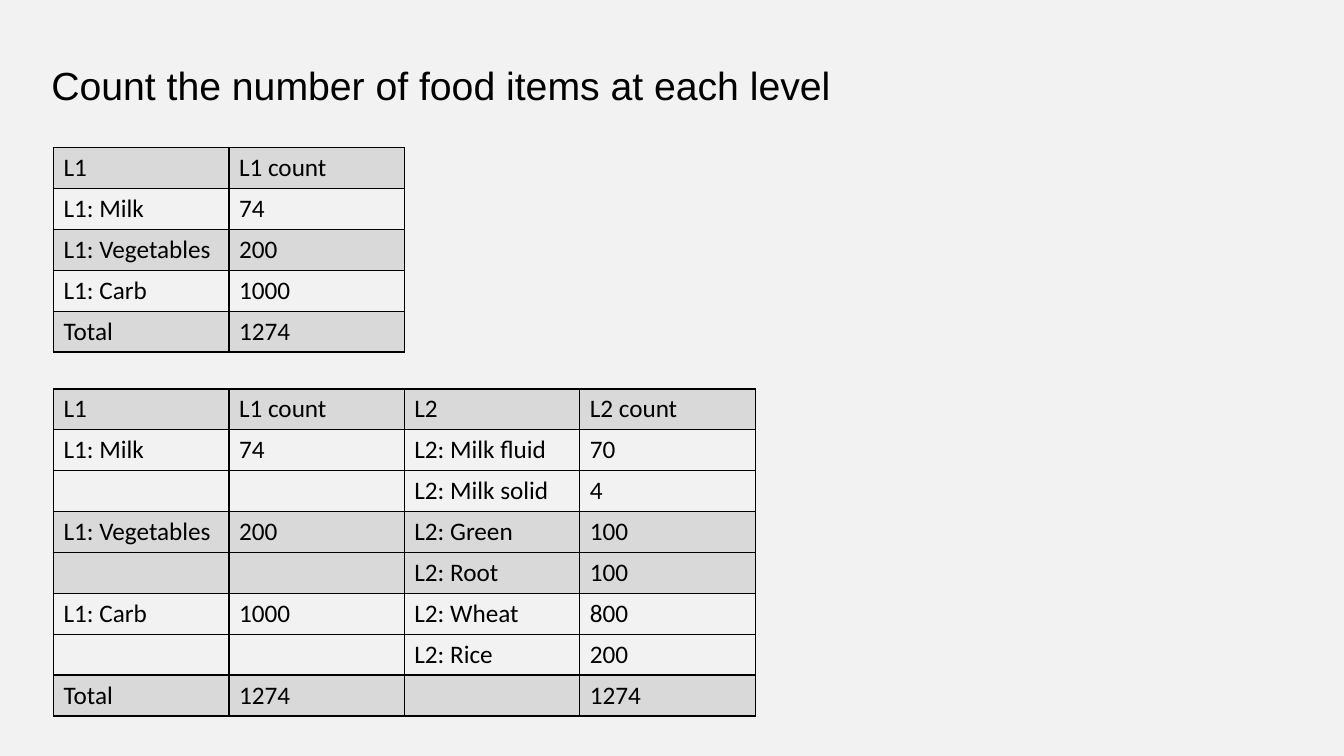
from lxml import etree
from pptx import Presentation
from pptx.dml.color import RGBColor
from pptx.enum.text import MSO_ANCHOR, PP_ALIGN
from pptx.oxml.ns import qn
from pptx.util import Cm, Pt

MIDDLE = MSO_ANCHOR.MIDDLE
LEFT = PP_ALIGN.LEFT

BLACK = RGBColor(0x00, 0x00, 0x00)
LIGHT = RGBColor(0xF2, 0xF2, 0xF2)
GREY = RGBColor(0xD9, 0xD9, 0xD9)

L1_ROWS = [
    ("L1", "L1 count"),
    ("L1: Milk", "74"),
    ("L1: Vegetables", "200"),
    ("L1: Carb", "1000"),
    ("Total", "1274"),
]
L2_ROWS = [
    ("L1", "L1 count", "L2", "L2 count"),
    ("L1: Milk", "74", "L2: Milk fluid", "70"),
    ("", "", "L2: Milk solid", "4"),
    ("L1: Vegetables", "200", "L2: Green", "100"),
    ("", "", "L2: Root", "100"),
    ("L1: Carb", "1000", "L2: Wheat", "800"),
    ("", "", "L2: Rice", "200"),
    ("Total", "1274", "", "1274"),
]


class SlideBuilder:
    """Holds the style and the current slide."""

    title_font, title_size = "Arial", Pt(28)
    table_font, table_size = "Calibri", Pt(18)
    col_width, row_height = Cm(4.42), Cm(1.03)
    border_width = Pt(1)

    def __init__(self, prs):
        self.s = prs.slides.add_slide(prs.slide_layouts[5])
        fill = self.s.background.fill
        fill.solid()
        fill.fore_color.rgb = LIGHT

    def style_text(self, tf, font, size):
        for p in tf.paragraphs:
            for r in p.runs:
                r.font.name = font
                r.font.size = size
                r.font.color.rgb = BLACK

    def title(self, text, left, top, width, height):
        sp = self.s.shapes.title
        sp.left, sp.top, sp.width, sp.height = left, top, width, height
        tf = sp.text_frame
        tf.text = text
        tf.word_wrap = True
        tf.vertical_anchor = MIDDLE
        p = tf.paragraphs[0]
        p.alignment = LEFT
        p.line_spacing = 0.9
        self.style_text(tf, self.title_font, self.title_size)

    def border(self, cell):
        tc_pr = cell._tc.get_or_add_tcPr()
        for i, side in enumerate(("a:lnL", "a:lnR", "a:lnT", "a:lnB")):
            ln = etree.Element(qn(side), w=str(self.border_width))
            line_fill = etree.SubElement(ln, qn("a:solidFill"))
            etree.SubElement(line_fill, qn("a:srgbClr"), val=str(BLACK))
            tc_pr.insert(i, ln)

    def table(self, rows, left, top):
        n_rows, n_cols = len(rows), len(rows[0])
        table = self.s.shapes.add_table(
            n_rows, n_cols, left, top,
            self.col_width * n_cols, self.row_height * n_rows).table
        shade = LIGHT
        for i, row in enumerate(rows):
            # Each new first-column label starts the other shade
            if row[0]:
                shade = LIGHT if shade == GREY else GREY
            for j, text in enumerate(row):
                cell = table.cell(i, j)
                cell.fill.solid()
                cell.fill.fore_color.rgb = shade
                cell.text_frame.text = text
                self.style_text(cell.text_frame, self.table_font, self.table_size)
                self.border(cell)


def main():
    prs = Presentation()
    prs.slide_width, prs.slide_height = Cm(33.87), Cm(19.05)
    slide = SlideBuilder(prs)

    # Title
    slide.title("Count the number of food items at each level",
                Cm(1.04), Cm(0.74), Cm(31.5), Cm(2.97))

    # Counts at level 1, then at levels 1 and 2
    slide.table(L1_ROWS, Cm(1.35), Cm(3.72))
    slide.table(L2_ROWS, Cm(1.35), Cm(9.8))

    prs.save("out.pptx")


if __name__ == "__main__":
    main()
